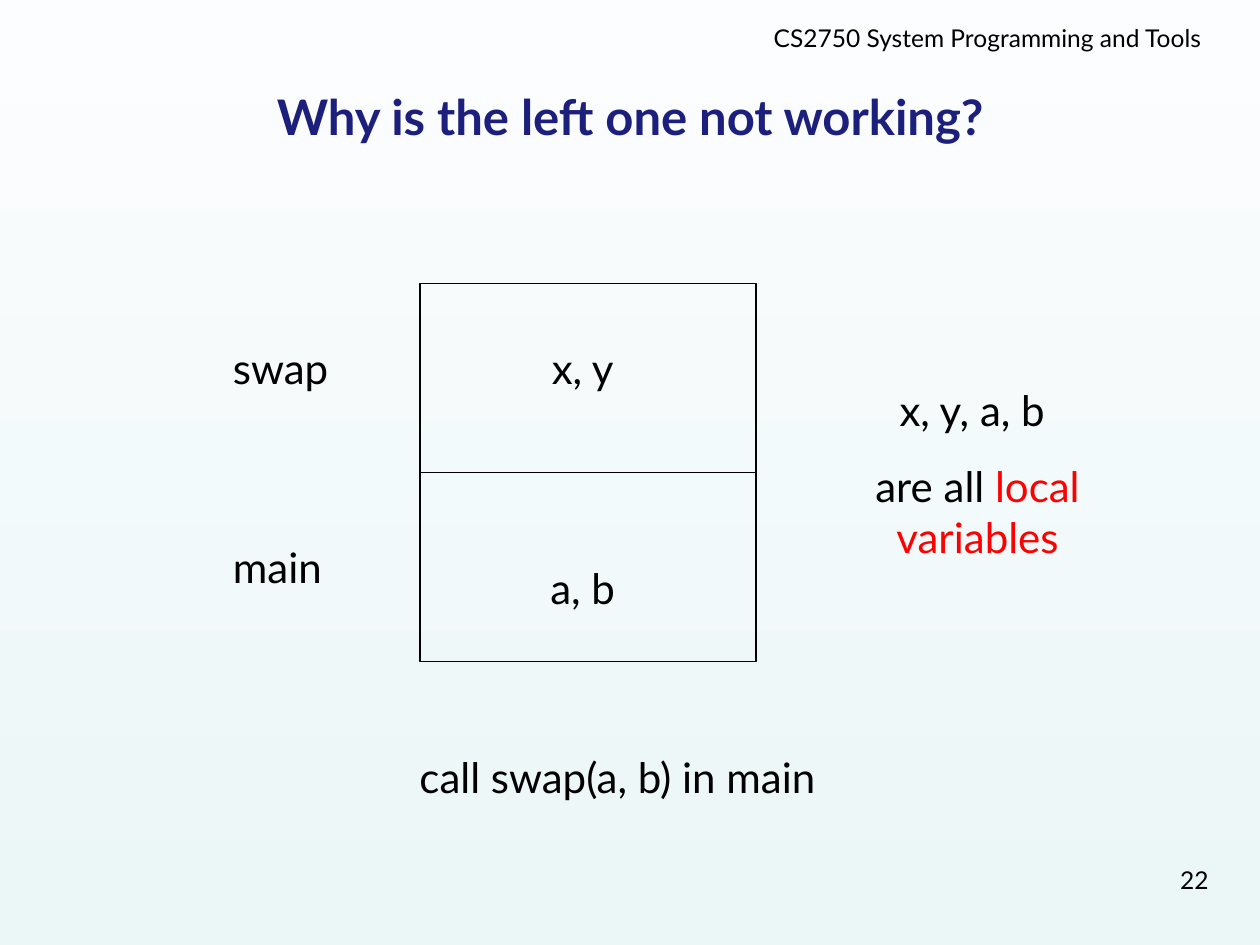
import dataclasses
import typing

import pptx
import pptx.dml.color
import pptx.enum.shapes
import pptx.enum.text
import pptx.util

PX = 7620  # EMU in one px, 120 px to the inch
FONT = "Lato"
COLORS = {
    "black": "000000",
    "navy": "1D1F7D",
    "red": "FF0000",
    "sky_top": "FCFDFE",
    "sky_bottom": "EBF6F7",
}
ALIGN = pptx.enum.text.PP_ALIGN
Run = tuple[str, str]  # text, colour name


@dataclasses.dataclass
class Box:
    left: int
    top: int
    width: int
    height: int

    def emu(self) -> list[int]:
        return [n * PX for n in (self.left, self.top, self.width, self.height)]


@dataclasses.dataclass
class Label:
    box: Box
    paragraphs: list[list[Run]]
    align: typing.Any = ALIGN.CENTER
    size: int = 24
    space_before: int = 15
    bold: bool = False


def rgb(name: str) -> pptx.dml.color.RGBColor:
    return pptx.dml.color.RGBColor.from_string(COLORS[name])


def fill_text(tf, label: Label) -> None:
    tf.word_wrap = True
    tf.auto_size = pptx.enum.text.MSO_AUTO_SIZE.NONE
    font_format = {"name": FONT, "size": pptx.util.Pt(label.size), "bold": label.bold}
    for i, runs in enumerate(label.paragraphs):
        p = tf.add_paragraph() if i else tf.paragraphs[0]
        p.alignment = label.align
        p.space_before = pptx.util.Pt(label.space_before)
        for text, color in runs:
            r = p.add_run()
            r.text = text
            r.font.color.rgb = rgb(color)
            for key, value in font_format.items():
                setattr(r.font, key, value)


def draw_label(s, label: Label) -> None:
    sp = s.shapes.add_textbox(*label.box.emu())
    fill_text(sp.text_frame, label)


def draw_title(s, label: Label) -> None:
    sp = s.shapes.title
    for key, value in zip(("left", "top", "width", "height"), label.box.emu()):
        setattr(sp, key, value)
    fill_text(sp.text_frame, label)
    sp.text_frame.vertical_anchor = pptx.enum.text.MSO_ANCHOR.MIDDLE


def draw_frame(s, box: Box) -> None:
    sp = s.shapes.add_shape(pptx.enum.shapes.MSO_SHAPE.RECTANGLE, *box.emu())
    sp.shadow.inherit = False
    sp.fill.background()
    sp.line.color.rgb = rgb("black")
    sp.line.width = pptx.util.Pt(0.75)


def draw_background(s) -> None:
    fill = s.background.fill
    fill.gradient()
    fill.gradient_angle = 270  # counter-clockwise, so top to bottom
    for stop, name in zip(fill.gradient_stops, ("sky_top", "sky_bottom")):
        stop.color.rgb = rgb(name)


def plain(text: str) -> list[list[Run]]:
    return [[(text, "black")]]


TITLE = Label(Box(60, 72, 1080, 76),
              [[("Why is the left one not working?", "navy")]],
              size=28, space_before=0, bold=True)

# Two stack frames, one directly above the other
FRAMES = [Box(400, 270 + 180 * i, 320, 180) for i in range(2)]

LABELS = [
    # Header
    Label(Box(695, 16, 491, 36), plain("CS2750 System Programming and Tools"),
          size=14, space_before=0),
    # Function names and their variables
    Label(Box(210, 320, 140, 60), plain("swap"), ALIGN.LEFT),
    Label(Box(210, 510, 140, 60), plain("main"), ALIGN.LEFT),
    Label(Box(440, 320, 230, 60), plain("x, y")),
    Label(Box(440, 530, 230, 60), plain("a, b")),
    # Caption and remark
    Label(Box(298, 710, 580, 60), plain("call swap(a, b) in main")),
    Label(Box(780, 360, 302, 181),
          [[("x, y, a, b ", "black")],
           [("are all ", "black"), ("local variables", "red")]]),
    # Page number
    Label(Box(883, 818, 280, 62), plain("22"), ALIGN.RIGHT,
          size=14, space_before=0),
]


def main() -> None:
    prs = pptx.Presentation()
    prs.slide_width, prs.slide_height = 1200 * PX, 900 * PX
    s = prs.slides.add_slide(prs.slide_layouts[5])  # title only
    draw_background(s)
    draw_title(s, TITLE)
    for frame in FRAMES:
        draw_frame(s, frame)
    for label in LABELS:
        draw_label(s, label)
    prs.save("out.pptx")


if __name__ == "__main__":
    main()
